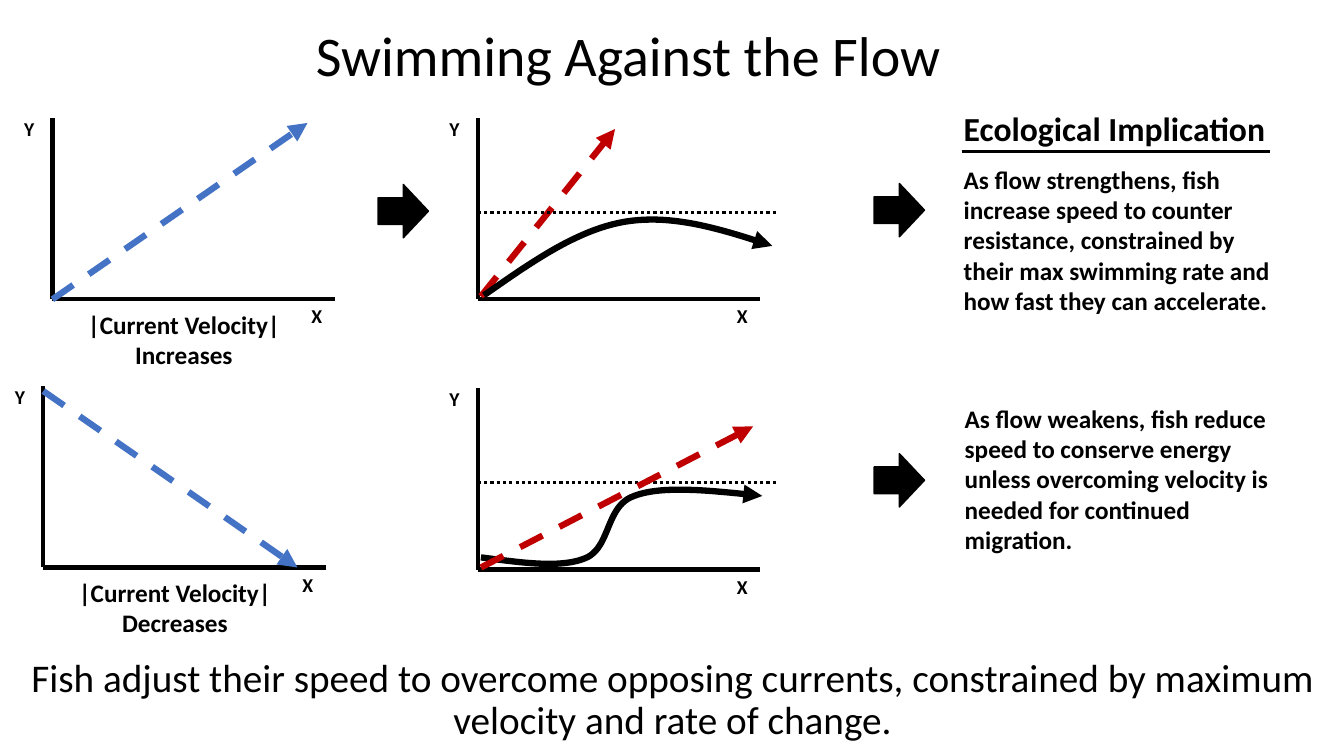
from lxml import etree
from pptx import Presentation
from pptx.dml.color import RGBColor
from pptx.enum import dml, shapes, text
from pptx.oxml.ns import qn
from pptx.util import Inches, Pt

BLACK, BLUE, RED = "000000", "4472C4", "C00000"
CENTER = text.PP_ALIGN.CENTER
CURVE_STEPS = 24


def color(hex_code):
    return RGBColor.from_string(hex_code)


def add_text(slide, box, lines, size, bold=True, align=None, wrap=True,
             anchor=text.MSO_ANCHOR.TOP, spacing=None):
    frame = slide.shapes.add_textbox(*map(Inches, box)).text_frame
    frame.word_wrap = wrap
    frame.vertical_anchor = anchor
    for index, line in enumerate(lines):
        paragraph = frame.add_paragraph() if index else frame.paragraphs[0]
        paragraph.alignment = align
        paragraph.line_spacing = spacing
        run = paragraph.add_run()
        run.text = line
        run.font.name = "Calibri"
        run.font.size = Pt(size)
        run.font.bold = bold
        run.font.color.rgb = color(BLACK)


def add_statement(slide, box, line, size):
    add_text(slide, box, [line], size, bold=False, align=CENTER,
             anchor=text.MSO_ANCHOR.MIDDLE, spacing=0.9)


def style_line(line, hex_code, width, dash=None, arrow=False):
    line.color.rgb = color(hex_code)
    line.width = Pt(width)
    if dash:
        line.dash_style = dash
    if arrow:
        properties = line._get_or_add_ln()
        etree.SubElement(properties, qn("a:tailEnd"), type="triangle")


def add_line(slide, start, end, hex_code=BLACK, width=3, dash=None, arrow=False):
    connector = slide.shapes.add_connector(
        shapes.MSO_CONNECTOR.STRAIGHT, *map(Inches, (*start, *end)))
    style_line(connector.line, hex_code, width, dash, arrow)
    etree.SubElement(connector._element.spPr, qn("a:effectLst"))


def add_trend(slide, start, end, hex_code):
    add_line(slide, start, end, hex_code, 4.5, dml.MSO_LINE.DASH, arrow=True)


def add_speed_limit(slide, y):
    add_line(slide, (4.74, y), (7.72, y), width=2.25,
             dash=dml.MSO_LINE.ROUND_DOT)


def add_axes(slide, x, y):
    """Draw a pair of labelled axes with their origin at (x, y)."""
    add_line(slide, (x, y), (x, y - 1.8))
    add_line(slide, (x, y), (x + 2.8, y))
    add_text(slide, (x + 2.47, y, 0.65, 0.45), ["X"], 14)
    add_text(slide, (x - 0.38, y - 1.86, 0.64, 0.45), ["Y"], 14)


def bezier_point(controls, t):
    weights = ((1 - t) ** 3, 3 * t * (1 - t) ** 2, 3 * t ** 2 * (1 - t), t ** 3)
    return tuple(Inches(sum(w * c for w, c in zip(weights, axis)))
                 for axis in zip(*controls))


def add_curve(slide, start, *segments):
    """Draw an arrow along cubic segments, each two controls and an end."""
    points, current = [], start
    for segment in segments:
        points += [bezier_point((current, *segment), step / CURVE_STEPS)
                   for step in range(1, CURVE_STEPS + 1)]
        current = segment[-1]
    builder = slide.shapes.build_freeform(*map(Inches, start))
    builder.add_line_segments(points, close=False)
    curve = builder.convert_to_shape()
    curve.shadow.inherit = False
    curve.fill.background()
    style_line(curve.line, BLACK, 4.5, arrow=True)


def add_block_arrow(slide, x, y):
    arrow = slide.shapes.add_shape(
        shapes.MSO_SHAPE.RIGHT_ARROW, *map(Inches, (x, y, 0.5, 0.53)))
    arrow.shadow.inherit = False
    arrow.fill.solid()
    arrow.fill.fore_color.rgb = color(BLACK)
    style_line(arrow.line, BLACK, 1)


def add_velocity_panel(slide, x, y, change, start, end):
    add_axes(slide, x, y)
    add_text(slide, (x - 0.86, y + 0.05, 4.33, 0.71),
             ["|Current Velocity|", change], 18, align=CENTER)
    add_trend(slide, start, end, BLUE)


def main():
    deck = Presentation()
    deck.slide_width, deck.slide_height = Inches(13.33), Inches(7.5)
    slide = deck.slides.add_slide(deck.slide_layouts[6])

    add_statement(slide, (0.48, -0.15, 11.5, 1.45), "Swimming Against the Flow", 40)
    add_statement(slide, (-0.13, 6.23, 13.6, 1.45),
                  "Fish adjust their speed to overcome opposing currents, "
                  "constrained by maximum velocity and rate of change.", 28)

    add_velocity_panel(slide, 0.52, 2.97, "Increases", (0.52, 2.97), (3.05, 1.22))
    add_velocity_panel(slide, 0.43, 5.63, "Decreases", (0.43, 3.88), (2.95, 5.63))

    add_axes(slide, 4.74, 2.97)
    add_trend(slide, (4.77, 2.94), (6.1, 1.28), RED)
    add_speed_limit(slide, 2.11)
    add_curve(slide, (4.8, 2.93),
              ((5.26, 2.61), (5.72, 2.28), (6.2, 2.2)),
              ((6.68, 2.12), (7.17, 2.28), (7.66, 2.44)))

    add_axes(slide, 4.74, 5.65)
    add_speed_limit(slide, 4.79)
    add_curve(slide, (4.77, 5.53),
              ((5.16, 5.58), (5.55, 5.64), (5.8, 5.54)),
              ((6.06, 5.44), (6, 5.02), (6.29, 4.92)),
              ((6.58, 4.81), (7.07, 4.87), (7.56, 4.92)))
    add_trend(slide, (4.77, 5.63), (7.47, 4.23), RED)

    for x, y in ((3.75, 1.83), (8.67, 1.82), (8.67, 4.5)):
        add_block_arrow(slide, x, y)

    add_text(slide, (9.46, 1.02, 3.22, 0.5), ["Ecological Implication"], 24,
             wrap=False)
    add_line(slide, (9.54, 1.5), (12.6, 1.5), width=2.25)
    add_text(slide, (9.46, 1.58, 3.37, 1.62),
             ["As flow strengthens, fish increase speed to counter resistance, "
              "constrained by their max swimming rate and how fast they can "
              "accelerate."], 18)
    add_text(slide, (9.47, 3.95, 3.37, 1.62),
             ["As flow weakens, fish reduce speed to conserve energy unless "
              "overcoming velocity is needed for continued migration."], 18)

    deck.save("out.pptx")


if __name__ == "__main__":
    main()
